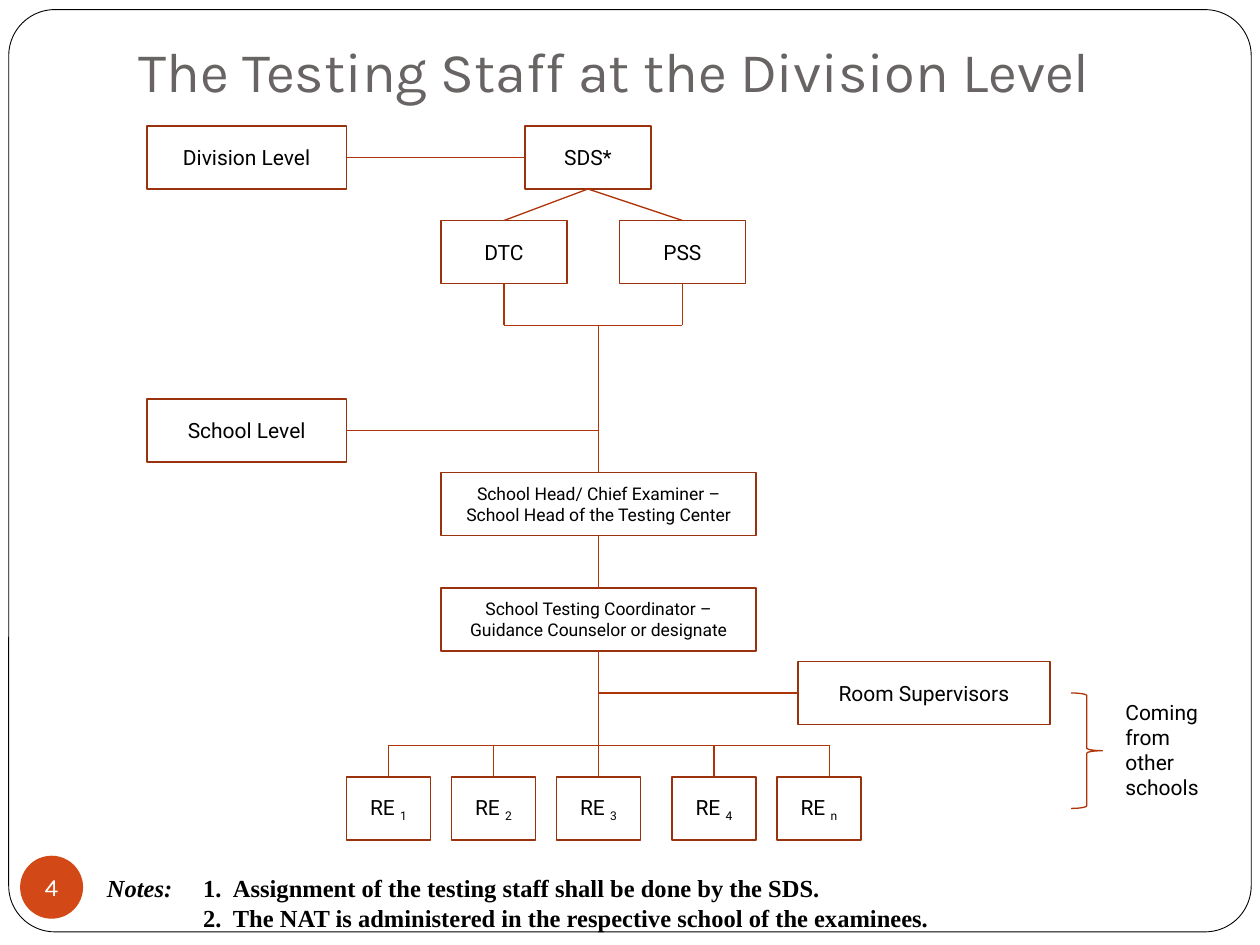
from dataclasses import dataclass
from typing import Optional

from lxml.etree import SubElement
from pptx import Presentation
from pptx.dml.color import RGBColor
from pptx.enum.shapes import MSO_CONNECTOR, MSO_SHAPE
from pptx.enum.text import MSO_ANCHOR, PP_ALIGN
from pptx.oxml.ns import qn
from pptx.util import Pt

BOX_LINE, LINK_LINE = "9B320E", "AF3408"
BLACK, WHITE, ORANGE, GRAY = "000000", "FFFFFF", "D34817", "696464"
BOX_HEIGHT = 36
TRUNK_X, JOIN_Y, BAR_Y = 342, 186, 426
TOP, LEFT, BOTTOM, RIGHT = range(4)


@dataclass(frozen=True)
class StaffBox:
    name: str
    left: float
    top: float
    width: float
    lines: tuple[str, ...]
    size: float = 12
    subscript: str = ""


@dataclass(frozen=True)
class End:
    """A point, or the middle of a side of a named box."""
    x: float = 0
    y: float = 0
    box: Optional[str] = None
    side: int = TOP


EXAMINERS = tuple(
    StaffBox(f"examiner {mark}", left, 444, 48, ("RE ",), subscript=mark)
    for mark, left in zip("1234n", (198, 258, 318, 384, 444))
)

BOXES = (
    StaffBox("division", 84, 72, 114, ("Division Level",)),
    StaffBox("sds", 300, 72, 72, ("SDS*",)),
    StaffBox("dtc", 252, 126, 72, ("DTC",)),
    StaffBox("pss", 354, 126, 72, ("PSS",)),
    StaffBox("school", 84, 228, 114, ("School Level",)),
    StaffBox("head", 252, 270, 180,
             ("School Head/ Chief Examiner – School Head of the Testing Center",), 10),
    StaffBox("coordinator", 252, 336, 180,
             ("School Testing Coordinator –", "Guidance Counselor or designate"), 10),
    StaffBox("supervisors", 456, 378, 144, ("Room Supervisors",)),
) + EXAMINERS

LINKS = (
    (End(box="division", side=RIGHT), End(box="sds", side=LEFT)),
    (End(box="sds", side=BOTTOM), End(box="dtc")),
    (End(box="sds", side=BOTTOM), End(box="pss")),
    (End(box="dtc", side=BOTTOM), End(288, JOIN_Y)),
    (End(box="pss", side=BOTTOM), End(390, JOIN_Y)),
    (End(288, JOIN_Y), End(390, JOIN_Y)),
    (End(box="head"), End(TRUNK_X, JOIN_Y)),
    (End(box="school", side=RIGHT), End(TRUNK_X, 246)),
    (End(box="head", side=BOTTOM), End(box="coordinator")),
    (End(box="supervisors", side=LEFT), End(TRUNK_X, 396)),
    (End(box="coordinator", side=BOTTOM), End(TRUNK_X, BAR_Y)),
    (End(222, BAR_Y), End(474, BAR_Y)),
    (End(474, BAR_Y), End(474, 444)),
) + tuple(
    (End(box.left + box.width / 2, BAR_Y), End(box=box.name)) for box in EXAMINERS[:-1]
)


def color(value: str) -> RGBColor:
    return RGBColor.from_string(value)


def add_span(para, text: str, size: float, font: str, ink: str = BLACK, **extra):
    span = para.add_run()
    span.text = text
    formats = {"name": font, "size": Pt(size), **extra}
    for attribute, value in formats.items():
        setattr(span.font, attribute, value)
    span.font.color.rgb = color(ink)
    return span


def format_frame(frame, **extra) -> None:
    formats = {"word_wrap": True, "vertical_anchor": MSO_ANCHOR.TOP, **extra}
    for attribute, value in formats.items():
        setattr(frame, attribute, value)


def add_outlined(slide, kind, left: float, top: float, width: float, height: float,
                 line: Optional[str], weight: float = 1, fill: Optional[str] = None):
    shape = slide.shapes.add_shape(kind, Pt(left), Pt(top), Pt(width), Pt(height))
    shape.shadow.inherit = False
    if fill:
        shape.fill.solid()
        shape.fill.fore_color.rgb = color(fill)
    else:
        shape.fill.background()
    if line:
        shape.line.color.rgb = color(line)
        shape.line.width = Pt(weight)
    else:
        shape.line.fill.background()
    return shape


def add_text_box(slide, left: float, top: float, width: float, height: float, **formats):
    frame = slide.shapes.add_textbox(Pt(left), Pt(top), Pt(width), Pt(height)).text_frame
    format_frame(frame, **formats)
    return frame


def add_staff_box(slide, box: StaffBox):
    shape = add_outlined(slide, MSO_SHAPE.RECTANGLE, box.left, box.top,
                         box.width, BOX_HEIGHT, BOX_LINE)
    frame = shape.text_frame
    format_frame(frame, vertical_anchor=MSO_ANCHOR.MIDDLE)
    for index, line in enumerate(box.lines):
        para = frame.add_paragraph() if index else frame.paragraphs[0]
        para.alignment = PP_ALIGN.CENTER
        add_span(para, line, box.size, "Roboto")
    if box.subscript:
        span = add_span(para, box.subscript, box.size, "Roboto")
        span.font._element.set("baseline", "-25000")
    return shape


def add_link(slide, begin: End, end: End, shapes: dict) -> None:
    link = slide.shapes.add_connector(MSO_CONNECTOR.STRAIGHT, Pt(begin.x), Pt(begin.y),
                                      Pt(end.x), Pt(end.y))
    for target, connect in ((begin, link.begin_connect), (end, link.end_connect)):
        if target.box:
            connect(shapes[target.box], target.side)
    link.line.color.rgb = color(LINK_LINE)
    link.line.width = Pt(0.75)
    SubElement(link._element.spPr, qn("a:effectLst"))


def add_tab_stops(para, *stops: float) -> None:
    tabs = SubElement(para._p.get_or_add_pPr(), qn("a:tabLst"))
    for stop in stops:
        SubElement(tabs, qn("a:tab"), pos=str(int(Pt(stop))), algn="l")


def add_notes_text(slide) -> None:
    frame = add_text_box(slide, 54, 495.5, 528, 57.6)
    notes = (
        ("Notes:", "\t1.\tAssignment of the testing staff shall be done by the SDS."),
        ("", "\t2.\tThe NAT is administered in the respective school of the examinees."),
    )
    for index, (label, note) in enumerate(notes):
        para = frame.add_paragraph() if index else frame.paragraphs[0]
        add_tab_stops(para, 55, 72)
        if label:
            add_span(para, label, 14, "Times New Roman", bold=True, italic=True)
        add_span(para, note, 14, "Times New Roman", bold=True)


def main() -> None:
    deck = Presentation()
    deck.slide_width, deck.slide_height = Pt(720), Pt(540)
    slide = deck.slides.add_slide(deck.slide_layouts[6])

    border = add_outlined(slide, MSO_SHAPE.ROUNDED_RECTANGLE, 5, 5.5, 710, 527,
                          BLACK, 0.5, WHITE)
    border.adjustments[0] = 0.05

    title = add_text_box(slide, 72, 6.5, 564, 60, vertical_anchor=MSO_ANCHOR.BOTTOM,
                         margin_bottom=Pt(7.2))
    add_span(title.paragraphs[0], "The Testing Staff at the Division Level", 32, "Karla", GRAY)

    badge = add_outlined(slide, MSO_SHAPE.OVAL, 11.5, 489, 36, 36, None, fill=ORANGE)
    format_frame(badge.text_frame, word_wrap=False, vertical_anchor=MSO_ANCHOR.MIDDLE,
                 margin_left=0, margin_top=0, margin_right=0, margin_bottom=0)
    number = badge.text_frame.paragraphs[0]
    number.alignment = PP_ALIGN.CENTER
    add_span(number, "4", 14, "Karla", WHITE)

    shapes = {box.name: add_staff_box(slide, box) for box in BOXES}
    for begin, end in LINKS:
        add_link(slide, begin, end, shapes)

    add_notes_text(slide)
    origin = add_text_box(slide, 636, 396, 60, 65)
    add_span(origin.paragraphs[0], "Coming from other schools", 12, "Roboto")
    add_outlined(slide, MSO_SHAPE.RIGHT_BRACE, 612, 396, 18, 66, LINK_LINE, 0.75)

    deck.save("out.pptx")


if __name__ == "__main__":
    main()
